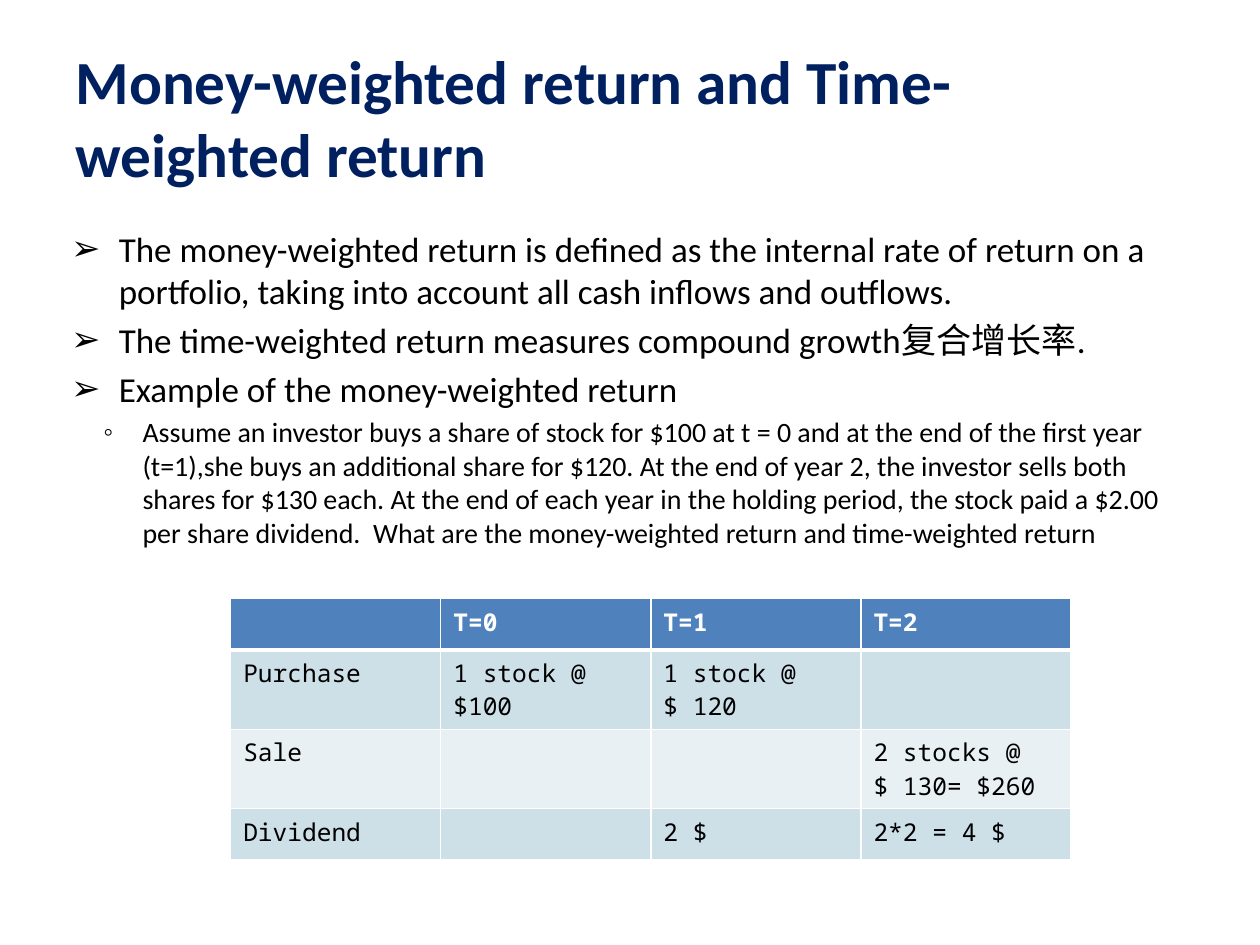
from lxml import etree
from pptx import Presentation
from pptx.dml.color import RGBColor
from pptx.enum import text
from pptx.oxml import ns
from pptx.util import Cm, Pt

NAVY, BLACK, WHITE = "002060", "000000", "FFFFFF"
HEADER, BAND_DARK, BAND_LIGHT = "4F81BD", "CDE0E8", "E8F0F4"

TITLE = "Money-weighted return and Time-weighted return"
# Text and outline level
POINTS = [
    ("The money-weighted return is defined as the internal rate of return on a "
     "portfolio, taking into account all cash inflows and outflows.", 0),
    ("The time-weighted return measures compound growth复合增长率.", 0),
    ("Example of the money-weighted return", 0),
    ("Assume an investor buys a share of stock for $100 at t = 0 and at the end of "
     "the first year (t=1),she buys an additional share for $120. At the end of "
     "year 2, the investor sells both shares for $130 each. At the end of each year "
     "in the holding period, the stock paid a $2.00 per share dividend.  What are "
     "the money-weighted return and time-weighted return", 1),
]
# Bullet, text indent and hanging indent in cm, font size
LEVELS = [("➢", 1.25, -0.96, 20), ("◦", 1.73, -0.79, 16)]
CASH_FLOWS = [
    ["", "T=0", "T=1", "T=2"],
    ["Purchase", "1 stock @\n$100", "1 stock @\n$ 120", ""],
    ["Sale", "", "", "2 stocks @\n$ 130= $260"],
    ["Dividend", "", "2 $", "2*2 = 4 $"],
]
ROW_HEIGHTS = [1.03, 1.45, 1.45, 1.03]


def rgb(value):
    return RGBColor.from_string(value)


def apply(target, formats):
    for name, value in formats.items():
        setattr(target, name, value)


def style_font(font, size, color, face="Calibri", bold=False):
    apply(font, {"size": Pt(size), "name": face, "bold": bold})
    font.color.rgb = rgb(color)


def place(shape, left, top, width, height):
    apply(shape, {"left": Cm(left), "top": Cm(top),
                  "width": Cm(width), "height": Cm(height)})


def set_bullet(paragraph, char, indent, hanging):
    props = paragraph._p.get_or_add_pPr()
    props.set("marL", str(Cm(indent)))
    props.set("indent", str(Cm(hanging)))
    etree.SubElement(props, ns.qn("a:buChar")).set("char", char)


def set_borders(cell, widths):
    props = cell._tc.get_or_add_tcPr()
    for side, width in widths.items():
        line = etree.SubElement(props, ns.qn(f"a:ln{side}"), w=str(Pt(width)))
        fill = etree.SubElement(line, ns.qn("a:solidFill"))
        etree.SubElement(fill, ns.qn("a:srgbClr"), val=WHITE)


def add_title(slide, *box):
    title = slide.shapes.title
    place(title, *box)
    frame = title.text_frame
    frame.text = TITLE
    apply(frame, {"vertical_anchor": text.MSO_ANCHOR.MIDDLE, "word_wrap": True,
                  "auto_size": text.MSO_AUTO_SIZE.NONE})
    heading = frame.paragraphs[0]
    heading.alignment = text.PP_ALIGN.LEFT
    style_font(heading.runs[0].font, 35, NAVY, bold=True)


def add_points(slide, *box):
    body = slide.placeholders[1]
    place(body, *box)
    frame = body.text_frame
    frame.text = "\n".join(point for point, _ in POINTS)
    apply(frame, {"word_wrap": True, "auto_size": text.MSO_AUTO_SIZE.NONE})
    for paragraph, (_, level) in zip(frame.paragraphs, POINTS):
        char, indent, hanging, size = LEVELS[level]
        paragraph.level = level
        set_bullet(paragraph, char, indent, hanging)
        style_font(paragraph.runs[0].font, size, BLACK)


def add_cash_flows(slide, left, top, width):
    rows, cols = len(CASH_FLOWS), len(CASH_FLOWS[0])
    table = slide.shapes.add_table(rows, cols, Cm(left), Cm(top), Cm(width),
                                   Cm(sum(ROW_HEIGHTS))).table
    for column in table.columns:
        column.width = Cm(width / cols)
    for r, (values, height) in enumerate(zip(CASH_FLOWS, ROW_HEIGHTS)):
        table.rows[r].height = Cm(height)
        is_header = r == 0
        band = HEADER if is_header else BAND_DARK if r % 2 else BAND_LIGHT
        # A thicker rule separates the header from the rows below
        borders = {"L": 1, "R": 1, "T": 3 if r == 1 else 1, "B": 3 if is_header else 1}
        for c, value in enumerate(values):
            cell = table.cell(r, c)
            set_borders(cell, borders)
            cell.fill.solid()
            cell.fill.fore_color.rgb = rgb(band)
            cell.text = value
            for paragraph in cell.text_frame.paragraphs:
                for run in paragraph.runs:
                    style_font(run.font, 14, WHITE if is_header else BLACK,
                               "Noto Sans Mono", is_header)


def main():
    deck = Presentation()
    apply(deck, {"slide_width": Cm(25.4), "slide_height": Cm(19.05)})
    slide = deck.slides.add_slide(deck.slide_layouts[1])
    slide.background.fill.solid()
    slide.background.fill.fore_color.rgb = rgb(WHITE)
    add_points(slide, 0.89, 4.45, 23.62, 8.05)
    add_cash_flows(slide, 4.65, 12.07, 16.94)
    add_title(slide, 1.27, 0.76, 22.86, 3.18)
    deck.save("out.pptx")


if __name__ == "__main__":
    main()
